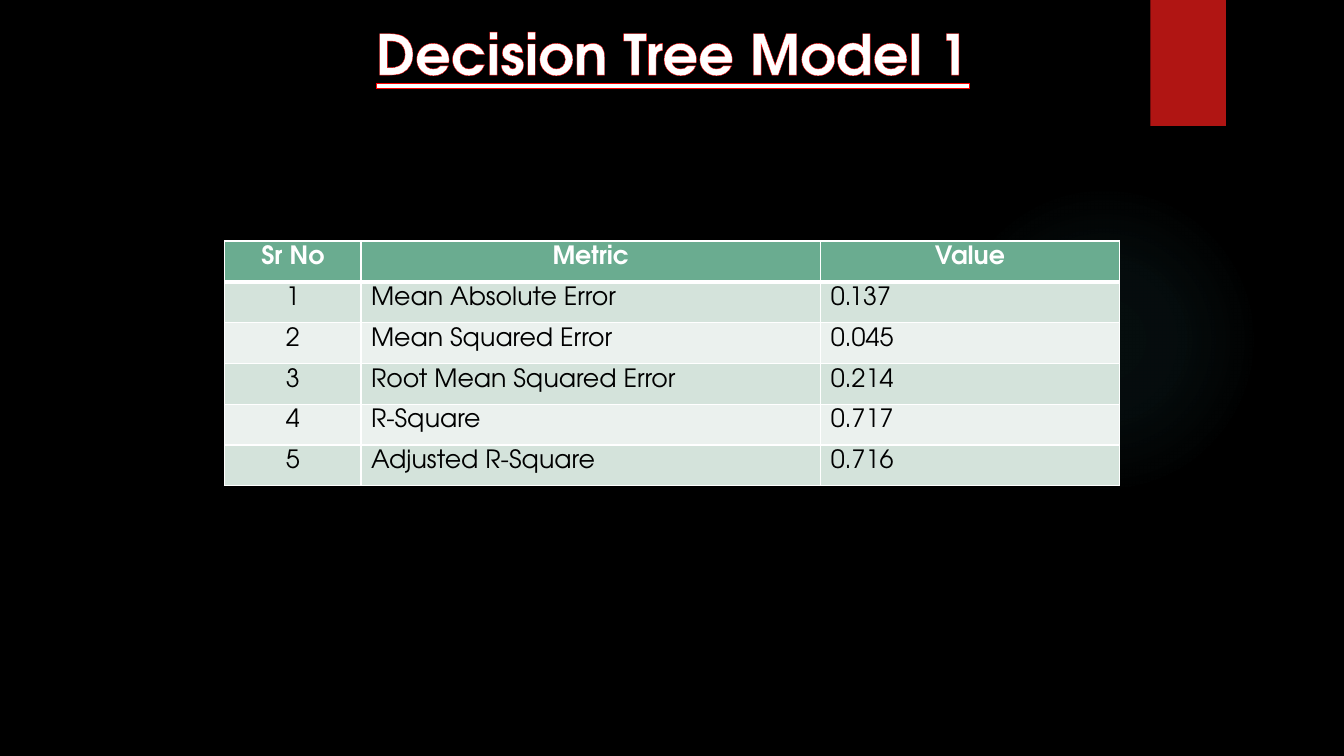
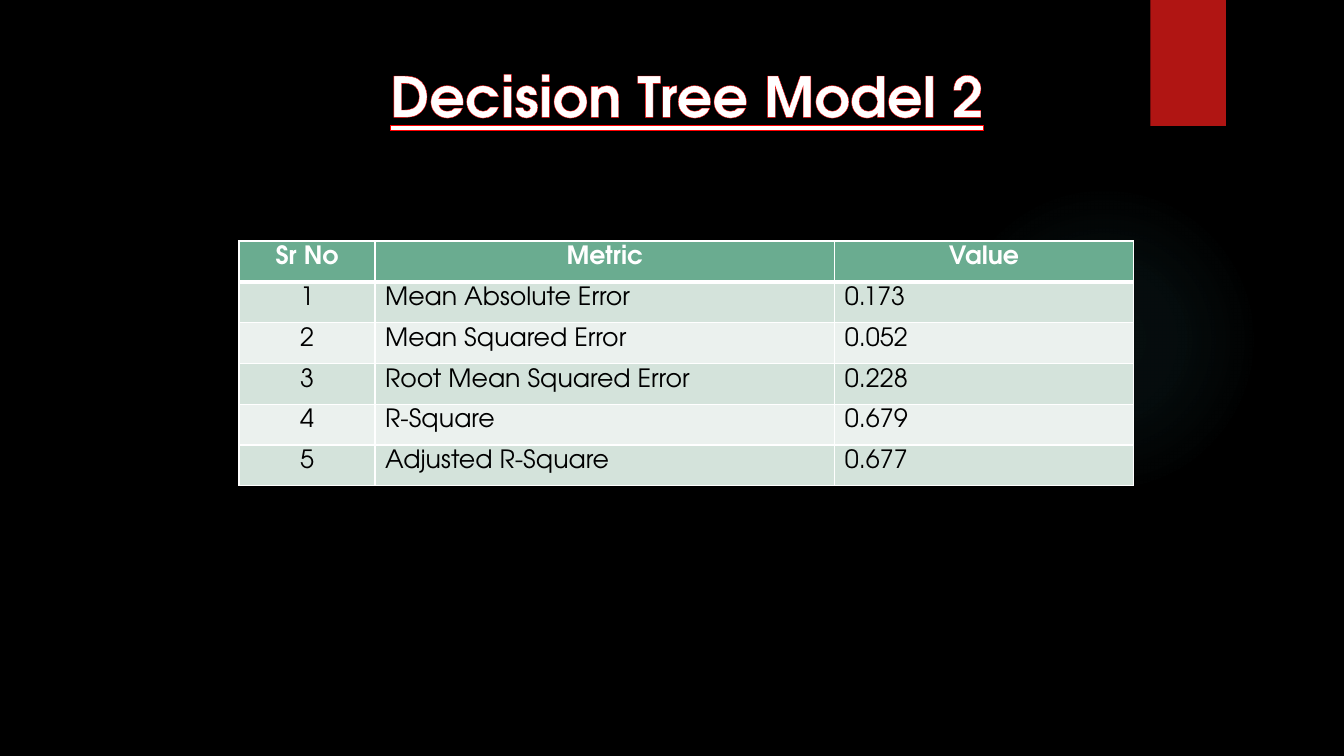
from pptx import Presentation
from pptx.dml.color import RGBColor
from pptx.enum import shapes, text
from pptx.oxml import parse_xml
from pptx.oxml.ns import qn
from pptx.util import Inches, Pt

BLACK = RGBColor(0x00, 0x00, 0x00)
WHITE = RGBColor(0xFF, 0xFF, 0xFF)
RED = RGBColor(0xB0, 0x15, 0x13)
OUTLINE = RGBColor(0xFF, 0x00, 0x00)
GLOW = RGBColor(0x50, 0xB9, 0xC1)
HEADER = RGBColor(0x6A, 0xAC, 0x90)
BANDS = [RGBColor(0xEB, 0xF1, 0xEE), RGBColor(0xD4, 0xE3, 0xDB)]
FONT = "TeX Gyre Adventor"
A = "http://schemas.openxmlformats.org/drawingml/2006/main"

COLS = [1.35, 4.56, 2.96]
METRICS = ["Mean Absolute Error", "Mean Squared Error", "Root Mean Squared Error",
           "R-Square", "Adjusted R-Square"]
SLIDES = [
    ("Decision Tree Model 1", 0.86, 0.14, 2.23, ["0.137", "0.045", "0.214", "0.717", "0.716"]),
    ("Decision Tree Model 2", 1, 0.56, 2.37, ["0.173", "0.052", "0.228", "0.679", "0.677"]),
]


def line_xml(tag, color, width):
    return parse_xml(f'<a:{tag} xmlns:a="{A}" w="{Pt(width)}"><a:solidFill>'
                     f'<a:srgbClr val="{color}"/></a:solidFill></a:{tag}>')


def style_run(r, size, color, bold):
    r.font.name = FONT
    r.font.size = Pt(size)
    r.font.color.rgb = color
    r.font.bold = bold


prs = Presentation()
prs.slide_width = Inches(13.33)
prs.slide_height = Inches(7.5)
fill = prs.slide_master.background.fill
fill.solid()
fill.fore_color.rgb = BLACK

stops = "".join(f'<a:gs pos="{pos * 1000}"><a:srgbClr val="{GLOW}">'
                f'<a:alpha val="{alpha * 1000}"/></a:srgbClr></a:gs>'
                for pos, alpha in [(0, 7), (36, 6), (69, 0), (100, 0)])
glow_xml = (f'<a:gradFill xmlns:a="{A}"><a:gsLst>{stops}</a:gsLst><a:path path="circle">'
            '<a:fillToRect l="50000" t="50000" r="50000" b="50000"/></a:path></a:gradFill>')

for title, title_x, title_y, table_x, values in SLIDES:
    s = prs.slides.add_slide(prs.slide_layouts[6])

    glow = s.shapes.add_shape(shapes.MSO_SHAPE.OVAL, Inches(9.41), Inches(1.83),
                              Inches(3.08), Inches(3.08))
    glow.shadow.inherit = False
    glow.line.fill.background()
    glow.element.spPr.find(qn("a:prstGeom")).addnext(parse_xml(glow_xml))

    ribbon = s.shapes.add_shape(shapes.MSO_SHAPE.RECTANGLE, Inches(11.41), 0,
                                Inches(0.75), Inches(1.25))
    ribbon.shadow.inherit = False
    ribbon.line.fill.background()
    ribbon.fill.solid()
    ribbon.fill.fore_color.rgb = RED

    rows = [["Sr No", "Metric", "Value"]]
    rows += [[str(n), *pair] for n, pair in enumerate(zip(METRICS, values), 1)]
    table = s.shapes.add_table(len(rows), len(COLS), Inches(table_x), Inches(2.39),
                               Inches(sum(COLS)), Inches(2.43)).table
    for col, width in zip(table.columns, COLS):
        col.width = Inches(width)
    for i, row in enumerate(rows):
        for j, label in enumerate(row):
            cell = table.cell(i, j)
            cell.margin_left = cell.margin_right = Inches(0.1)
            cell.margin_top = cell.margin_bottom = Inches(0.05)
            cell.vertical_anchor = text.MSO_ANCHOR.TOP
            tcPr = cell._tc.get_or_add_tcPr()
            for tag in ("lnL", "lnR", "lnT", "lnB"):
                thick = (i, tag) in [(0, "lnB"), (1, "lnT")]
                tcPr.append(line_xml(tag, WHITE, 3 if thick else 1))
            cell.fill.solid()
            cell.fill.fore_color.rgb = HEADER if i == 0 else BANDS[i % 2]
            p = cell.text_frame.paragraphs[0]
            p.text = label
            p.alignment = text.PP_ALIGN.CENTER if i == 0 or j == 0 else text.PP_ALIGN.LEFT
            style_run(p.runs[0], 18, WHITE if i == 0 else BLACK, i == 0)

    tf = s.shapes.add_textbox(Inches(title_x), Inches(title_y),
                              Inches(11.62), Inches(1.45)).text_frame
    tf.word_wrap = True
    p = tf.paragraphs[0]
    p.text = title
    p.alignment = text.PP_ALIGN.CENTER
    r = p.runs[0]
    style_run(r, 40, WHITE, True)
    r.font.underline = True
    r._r.get_or_add_rPr().insert(0, line_xml("ln", OUTLINE, 0.75))

prs.save("out.pptx")
